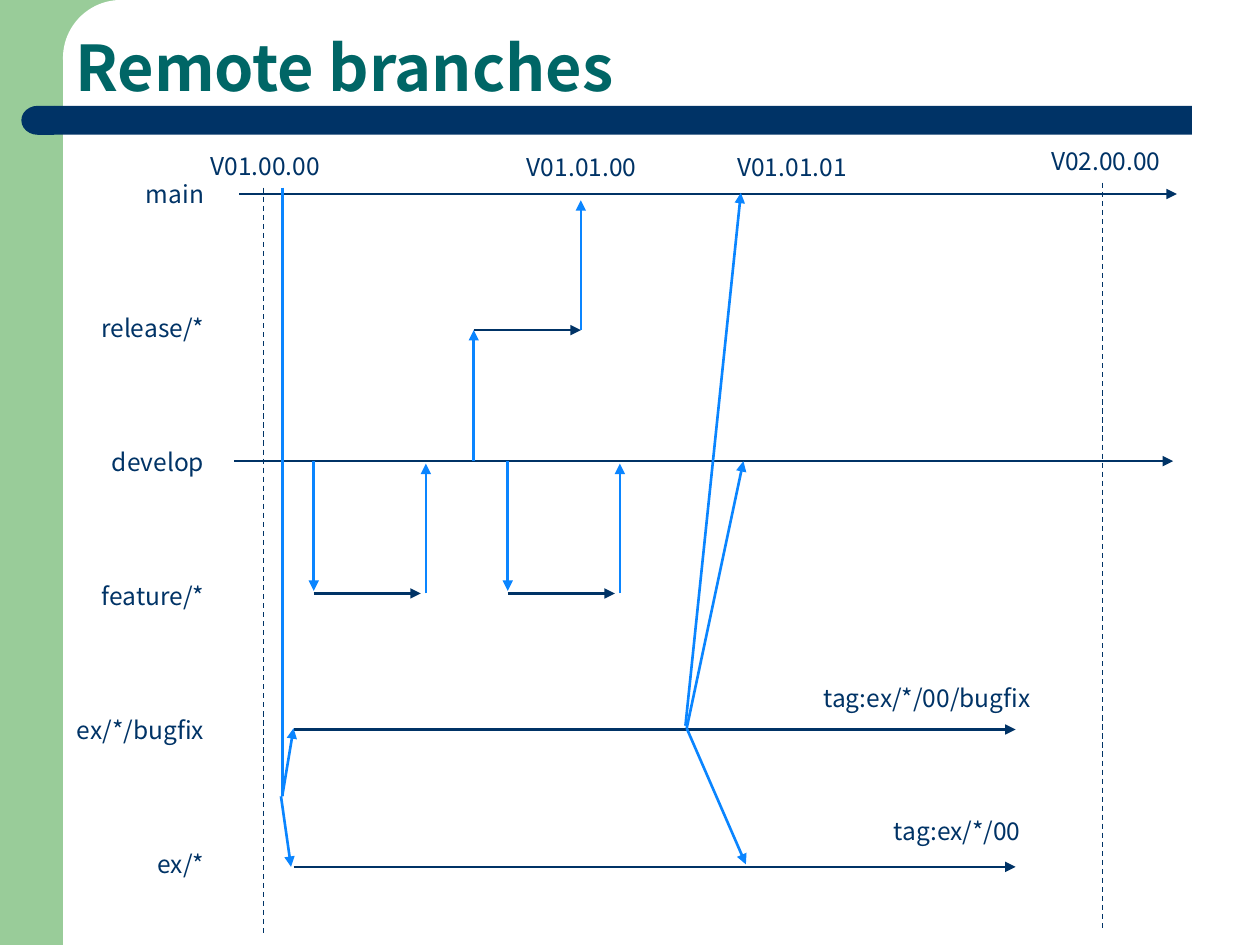
"""Build a slide that charts how remote branches fork and merge."""
from dataclasses import dataclass

from lxml import etree
from pptx import Presentation
from pptx.dml.color import RGBColor
from pptx.enum.dml import MSO_LINE
from pptx.enum.shapes import MSO_CONNECTOR, MSO_SHAPE
from pptx.enum.text import MSO_ANCHOR, MSO_AUTO_SIZE, PP_ALIGN
from pptx.oxml.ns import qn
from pptx.util import Inches, Pt

RECT, ROUND, DELAY = MSO_SHAPE.RECTANGLE, MSO_SHAPE.ROUNDED_RECTANGLE, MSO_SHAPE.FLOWCHART_DELAY
STRAIGHT, DASH = MSO_CONNECTOR.STRAIGHT, MSO_LINE.DASH
LEFT, RIGHT = PP_ALIGN.LEFT, PP_ALIGN.RIGHT
TOP, BOTTOM = MSO_ANCHOR.TOP, MSO_ANCHOR.BOTTOM
GROW, FIXED = MSO_AUTO_SIZE.SHAPE_TO_FIT_TEXT, MSO_AUTO_SIZE.NONE


@dataclass(frozen=True)
class Theme:
    font: str = "Noto Sans CJK JP"
    navy: str = "003366"
    blue: str = "0A85FF"
    green: str = "99CC99"
    teal: str = "006666"
    white: str = "FFFFFF"
    title_size: int = 36
    label_size: int = 14
    branch_width: float = 1.5
    version_width: float = 0.75


THEME = Theme()
WIDTH, HEIGHT = 10, 7.5
LABEL_HEIGHT, LABEL_RIGHT, LABEL_TOP = 0.34, 1.72, 1.37
LABEL_PITCH = 5.32 / 5
VERSION_WIDTH, VERSION_LINE = 1.11, 5.94
MAIN, RELEASE, DEVELOP, FEATURE, BUGFIX, EXPORT = 1.54, 2.62, 3.66, 4.71, 5.79, 6.88
FORK = (2.24, 6.32)
FIX = (5.45, 5.78)
RELEASE_START, RELEASE_END = 3.76, 4.61
FEATURE_STARTS = (2.49, 4.03)
FEATURE_LENGTH, MERGE_OFFSET, ARROW_GAP = 0.85, 0.89, 0.02

TITLE = "Remote branches"
PANELS = [
    (RECT, (0, 0, 0.5, HEIGHT), THEME.green),
    (RECT, (0.5, 0, 0.63, 0.42), THEME.green),
    (ROUND, (0.5, 0, 1.17, 0.92), THEME.white),
    (RECT, (0.43, 0.84, 9.03, 0.23), THEME.navy),
    (DELAY, (0.17, 0.84, 0.26, 0.23), THEME.navy),
]
BRANCHES = [
    ("main", 0.68),
    ("release/*", 1.05),
    ("develop", 0.96),
    ("feature/*", 1.04),
    ("ex/*/bugfix", 1.25),
    ("ex/*", 0.59),
]
VERSIONS = [
    ("V01.00.00", 1.53, 1.15),
    ("V01.01.00", 4.04, 1.16),
    ("V01.01.01", 5.71, 1.16),
    ("V02.00.00", 8.2, 1.11),
]
TAGS = [
    ("tag:ex/*/00/bugfix", 6.37, 5.37, 1.91),
    ("tag:ex/*/00", 6.96, 6.43, 1.24),
]
VERSION_LINES = [(2.09, 1.49), (8.75, 1.45)]
TIMELINES = [
    (1.9, 9.34, MAIN),
    (1.86, 9.31, DEVELOP),
    (RELEASE_START, RELEASE_END, RELEASE),
    (2.33, 8.06, BUGFIX),
    (2.33, 8.06, EXPORT),
]
MOVES = [
    ((RELEASE_START, DEVELOP), (RELEASE_START, RELEASE)),
    ((RELEASE_END, RELEASE), (RELEASE_END, 1.59)),
    (FORK, (2.33, 5.78)),
    ((2.23, 6.32), (2.31, EXPORT)),
    (FIX, (5.92, 6.86)),
    (FIX, (5.9, DEVELOP)),
    ((5.44, 5.76), (5.88, 1.53)),
]


def set_all(target, values):
    for name, value in values.items():
        setattr(target, name, value)


def add_panel(page, kind, place, color):
    panel = page.shapes.add_shape(kind, *map(Inches, place))
    panel.shadow.inherit = False
    panel.fill.solid()
    panel.fill.fore_color.rgb = RGBColor.from_string(color)
    panel.line.fill.background()
    if kind == ROUND:
        panel.adjustments[0] = 0.5
    if kind == DELAY:
        panel.element.spPr.find(qn("a:xfrm")).set("flipH", "1")


def add_text(page, text, place, frame, paragraph, font, color):
    box = page.shapes.add_textbox(*map(Inches, place))
    set_all(box.text_frame, frame)
    para = box.text_frame.paragraphs[0]
    set_all(para, paragraph)
    span = para.add_run()
    span.text = text
    set_all(span.font, {"name": THEME.font, **font})
    span.font.color.rgb = RGBColor.from_string(color)


def add_label(page, text, left, top, width):
    frame = {"word_wrap": False, "auto_size": GROW, "vertical_anchor": TOP}
    add_text(page, text, (left, top, width, LABEL_HEIGHT), frame,
             {"alignment": RIGHT}, {"size": Pt(THEME.label_size)}, THEME.navy)


def add_line(page, start, end, color, width=THEME.branch_width, arrow=True, dash=None):
    line = page.shapes.add_connector(STRAIGHT, *map(Inches, (*start, *end)))
    line.line.color.rgb = RGBColor.from_string(color)
    set_all(line.line, {"width": Pt(width), "dash_style": dash})
    properties = line.element.spPr
    if arrow:
        etree.SubElement(properties.find(qn("a:ln")), qn("a:tailEnd"), type="triangle")
    etree.SubElement(properties, qn("a:effectLst"))


def add_labels(page):
    for row, (name, width) in enumerate(BRANCHES):
        add_label(page, name, LABEL_RIGHT - width, LABEL_TOP + row * LABEL_PITCH, width)
    for name, left, top in VERSIONS:
        add_label(page, name, left, top, VERSION_WIDTH)
    for tag in TAGS:
        add_label(page, *tag)


def add_lines(page):
    for x, top in VERSION_LINES:
        add_line(page, (x, top), (x, top + VERSION_LINE), THEME.navy,
                 THEME.version_width, arrow=False, dash=DASH)
    features = [(x, x + FEATURE_LENGTH, FEATURE) for x in FEATURE_STARTS]
    for start, end, y in TIMELINES + features:
        add_line(page, (start, y), (end, y), THEME.navy)
    add_line(page, (FORK[0], 1.49), FORK, THEME.blue, arrow=False)
    for start, end in MOVES:
        add_line(page, start, end, THEME.blue)
    for x in FEATURE_STARTS:
        merge = x + MERGE_OFFSET
        add_line(page, (x, DEVELOP), (x, FEATURE - ARROW_GAP), THEME.blue)
        add_line(page, (merge, FEATURE), (merge, DEVELOP + ARROW_GAP), THEME.blue)


def main():
    deck = Presentation()
    set_all(deck, {"slide_width": Inches(WIDTH), "slide_height": Inches(HEIGHT)})
    page = deck.slides.add_slide(deck.slide_layouts[6])
    for panel in PANELS:
        add_panel(page, *panel)
    add_text(page, TITLE, (0.5, 0.13, 9.5, 0.75),
             {"word_wrap": True, "auto_size": FIXED, "vertical_anchor": BOTTOM},
             {"alignment": LEFT, "line_spacing": 0.9},
             {"size": Pt(THEME.title_size), "bold": True}, THEME.teal)
    add_labels(page)
    add_lines(page)
    deck.save("out.pptx")


if __name__ == "__main__":
    main()
